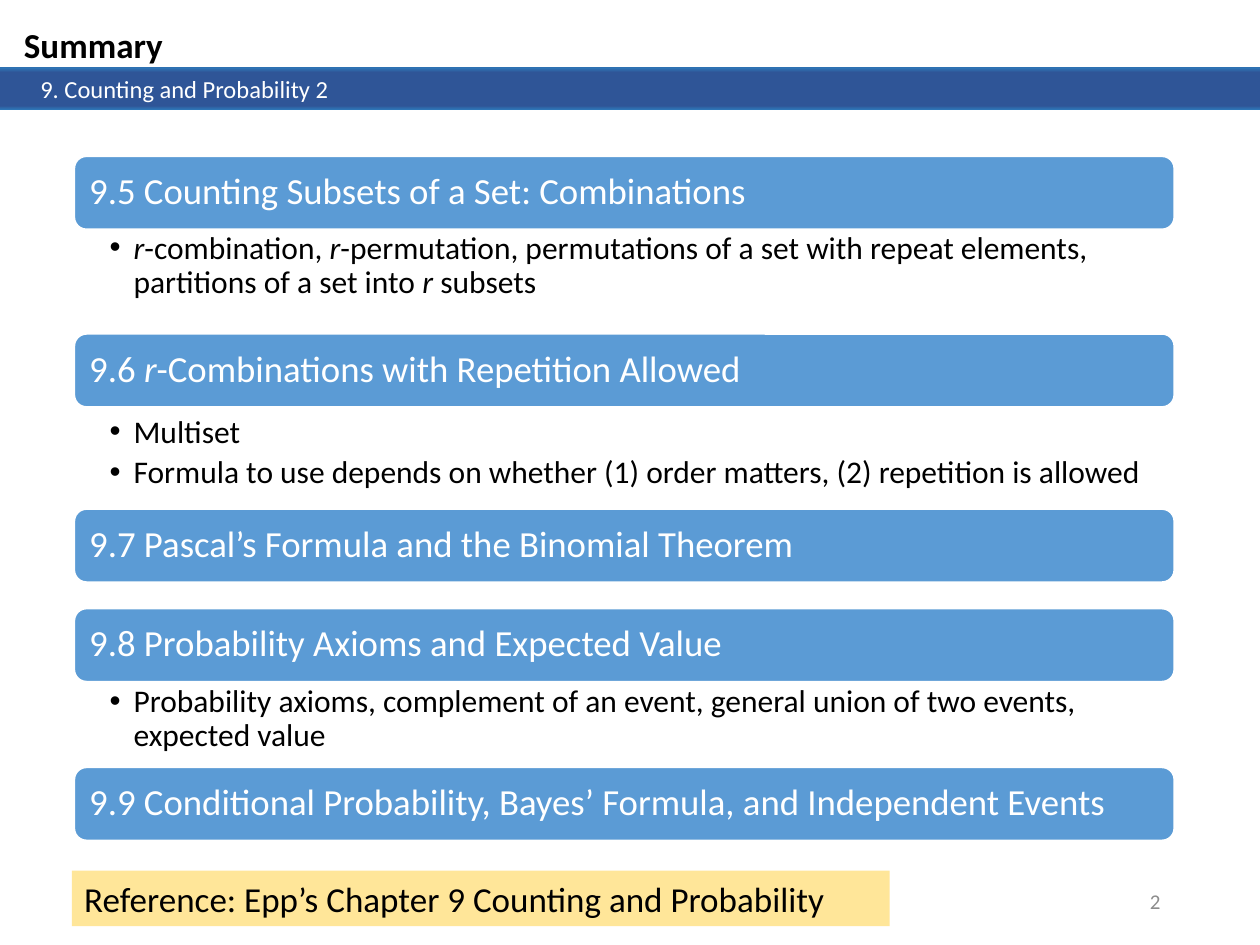
from copy import deepcopy
from lxml import etree
from pptx import Presentation
from pptx import util as u
from pptx.dml.color import RGBColor
from pptx.enum import shapes, text
from pptx.oxml import ns

PX = 9144  # 100 px to the inch
BLACK, WHITE = "000000", "FFFFFF"
LEFT, WIDTH, BAR_HEIGHT = 59, 873, 58


def color(value):
    return RGBColor.from_string(value)


def write(shape, box, paragraphs, size, ink, insets=(10, 5, 10, 5), anchor="MIDDLE",
          align="LEFT", bold=False, **spacing):
    """Place a shape and fill it with text; *stars* enclose italics."""
    shape.left, shape.top, shape.width, shape.height = [n * PX for n in box]
    frame = shape.text_frame
    margins = zip(("margin_left", "margin_top", "margin_right", "margin_bottom"),
                  [n * PX for n in insets])
    layout = {"word_wrap": True, "auto_size": text.MSO_AUTO_SIZE.NONE,
              "vertical_anchor": getattr(text.MSO_ANCHOR, anchor), **dict(margins)}
    for name, value in layout.items():
        setattr(frame, name, value)
    for number, words in enumerate(paragraphs):
        paragraph = frame.add_paragraph() if number else frame.paragraphs[0]
        paragraph_format = {"alignment": getattr(text.PP_ALIGN, align),
                            "space_before": u.Pt(0), **spacing}
        for name, value in paragraph_format.items():
            setattr(paragraph, name, value)
        for part, piece in enumerate(words.split("*")):
            if not piece:
                continue
            run = paragraph.add_run()
            run.text = piece
            run_format = {"name": "Calibri", "size": u.Pt(size), "bold": bold,
                          "italic": part % 2 == 1}
            for name, value in run_format.items():
                setattr(run.font, name, value)
            run.font.color.rgb = color(ink)


presentation = Presentation()
presentation.slide_width, presentation.slide_height = 1000 * PX, 750 * PX
slide = presentation.slides.add_slide(presentation.slide_layouts[4])
bodies = list(slide.placeholders)[1:]

# Title
write(slide.shapes.title, (9, 13, 269, 44), ["Summary"], 20, BLACK, bold=True)

# Header bands with a four-stop gradient
stops = [(0, "2E75B6"), (0.11, "2F5597"), (0.91, "2F5597"), (1, "2E75B6")]
for top, height, words in [(53, 30, ""), (54, 33, "9. Counting and Probability 2")]:
    band = slide.shapes.add_shape(shapes.MSO_SHAPE.RECTANGLE, 0, 0, PX, PX)
    band.shadow.inherit = False
    band.line.fill.background()
    band.fill.gradient()
    band.fill.gradient_angle = 270
    stop_list = next(band.element.iter(ns.qn("a:gsLst")))
    for extra in [deepcopy(stop) for stop in stop_list]:
        stop_list.append(extra)
    for stop, (position, value) in zip(band.fill.gradient_stops, stops):
        stop.position = position
        stop.color.rgb = color(value)
    write(band, (0, top, 1000, height), [words], 14, WHITE, insets=(32, 5, 10, 5))

# Sections: bar top, heading, list top, list height, list items
sections = [
    (124, "9.5 Counting Subsets of a Set: Combinations", 181, 57,
     ["*r*-combination, *r*-permutation, permutations of a set with repeat elements, "
      "partitions of a set into *r* subsets"]),
    (265, "9.6 *r*-Combinations with Repetition Allowed", 327, 67,
     ["Multiset",
      "Formula to use depends on whether (1) order matters, (2) repetition is allowed"]),
    (404, "9.7 Pascal’s Formula and the Binomial Theorem", 0, 0, []),
    (483, "9.8 Probability Axioms and Expected Value", 541, 61,
     ["Probability axioms, complement of an event, general union of two events, "
      "expected value"]),
    (609, "9.9 Conditional Probability, Bayes’ Formula, and Independent Events", 0, 0, []),
]
for bar_top, heading, list_top, list_height, items in sections:
    bar = slide.shapes.add_shape(shapes.MSO_SHAPE.ROUNDED_RECTANGLE, 0, 0, PX, PX)
    bar.shadow.inherit = False
    bar.fill.solid()
    bar.fill.fore_color.rgb = color("5B9BD5")
    bar.line.color.rgb = color(WHITE)
    bar.line.width = u.Pt(1)
    write(bar, (LEFT, bar_top, WIDTH, BAR_HEIGHT), [heading], 21, WHITE,
          insets=(9, 9, 9, 9), line_spacing=0.9)
    if not items:
        continue
    body = bodies.pop(0)
    write(body, (LEFT, list_top, WIDTH, list_height), items, 18, BLACK,
          insets=(28, 3, 14, 3), anchor="TOP", line_spacing=0.9, space_after=u.Pt(3.6))
    for paragraph in body.text_frame.paragraphs:
        properties = paragraph._p.get_or_add_pPr()
        properties.set("marL", str(19 * PX))
        properties.set("indent", str(-19 * PX))
        etree.SubElement(properties, ns.qn("a:buFont")).set("typeface", "Arial")
        etree.SubElement(properties, ns.qn("a:buChar")).set("char", "•")

# Unused placeholders
for body in bodies:
    body.element.getparent().remove(body.element)

# Reference and slide number
reference = slide.shapes.add_textbox(0, 0, PX, PX)
reference.fill.solid()
reference.fill.fore_color.rgb = color("FFE699")
write(reference, (57, 691, 649, 44),
      ["Reference: Epp’s Chapter 9 Counting and Probability"], 20, BLACK)
page_number = slide.shapes.add_textbox(0, 0, PX, PX)
write(page_number, (706, 695, 225, 40), ["2"], 12, "8C8C8C", align="RIGHT")

presentation.save("out.pptx")
